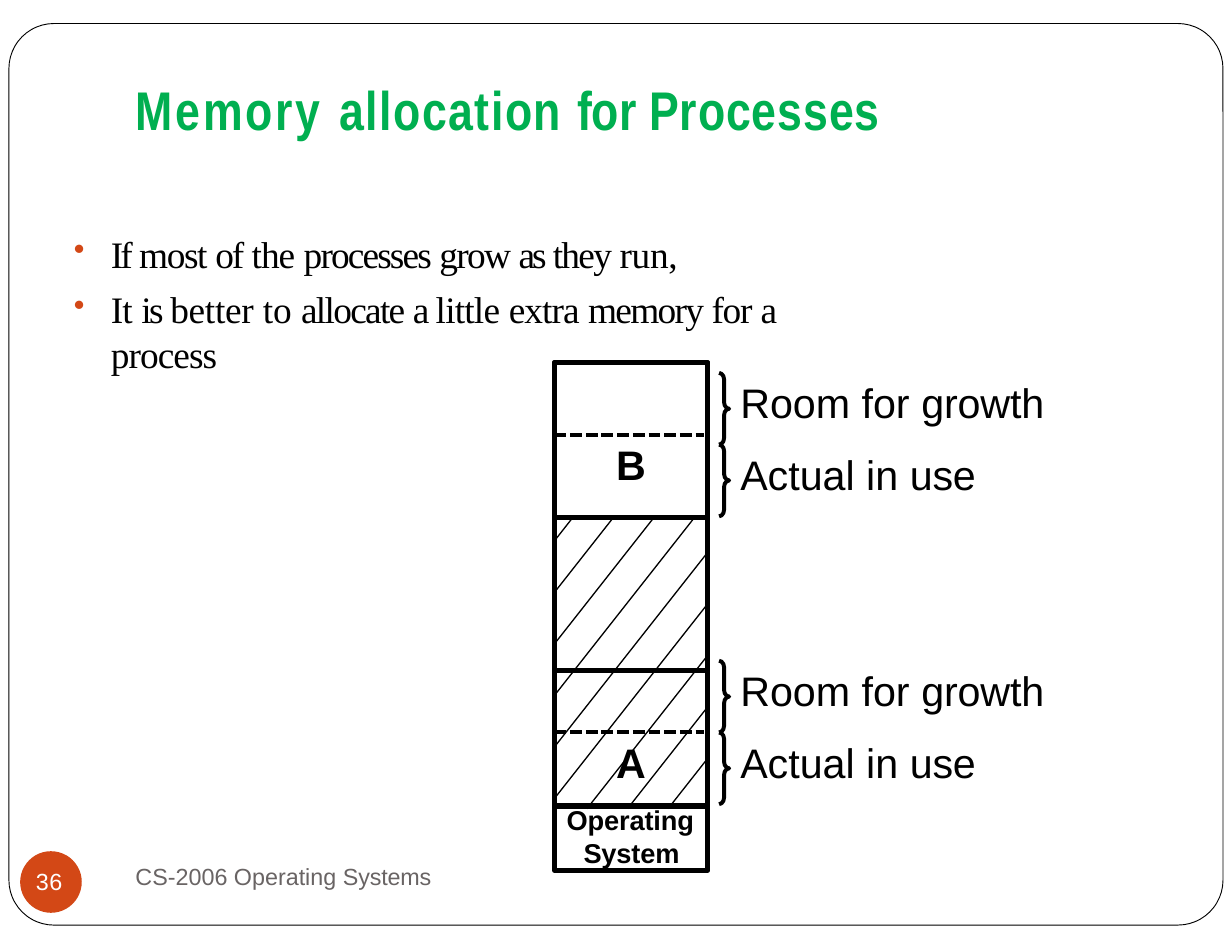
from dataclasses import dataclass

from lxml.etree import SubElement
from pptx import Presentation
from pptx.dml.color import RGBColor as RGB
from pptx.enum.dml import MSO_LINE_DASH_STYLE as DASH
from pptx.enum.shapes import MSO_CONNECTOR_TYPE as CONN, MSO_SHAPE as SHAPE
from pptx.enum.text import MSO_ANCHOR as ANCHOR, PP_ALIGN as ALIGN
from pptx.oxml.ns import qn
from pptx.util import Inches, Pt


@dataclass(frozen=True)
class Theme:
    ink: str = "000000"
    title: str = "00AF50"
    accent: str = "D34816"
    muted: str = "696464"
    white: str = "FFFFFF"
    sans: str = "Arial"
    narrow: str = "Arial Narrow"
    serif: str = "Times New Roman"
    title_size: float = 35
    body_size: float = 24
    label_size: float = 26.5
    os_size: float = 17.5
    footer_size: float = 15
    thick: float = 3.25
    medium: float = 2.52
    thin: float = 0.84
    frame: float = 0.6


T = Theme()

# Memory column, in inches
LEFT, RIGHT = 4.95, 6.32
B_TOP, B_BOTTOM = 3.24, 4.62
A_TOP, A_BOTTOM = 5.99, 7.19
OS_TOP, OS_BOTTOM = 7.22, 7.77
HATCH_SLOPE, HATCH_STEP, HATCH_START = 1.27, 0.46, 3.09
BRACE_HEIGHT = 0.64

# Runs are (text, letter spacing in points)
TITLE = [("Memory ", 1.8), ("allocation ", 1), ("for ", 0), ("Processes", 0.6)]
BULLETS = [
    [("If ", -1.9), ("most ", -0.9), ("of ", -1.4), ("the ", -0.6),
     ("processes ", -1.2), ("grow ", -1.1), ("as ", -2), ("they ", -1.1),
     ("run,", -0.2)],
    [("It ", -0.5), ("is ", -1.7), ("better ", -0.2), ("to ", 0),
     ("allocate ", -1.1), ("a ", -1.9), ("little ", -0.5), ("extra ", -0.6),
     ("memory ", -1.1), ("for ", -0.8), ("a", -1.9), (" process", -0.6)],
]
USAGE = [("Room for ", 0), ("growth ", -0.1), ("Actual in ", 0), ("use", -0.2)]


def add_bullet(pPr):
    SubElement(SubElement(pPr, qn("a:buClr")), qn("a:srgbClr")).set("val", T.accent)
    SubElement(pPr, qn("a:buSzPct")).set("val", "85000")
    SubElement(pPr, qn("a:buChar")).set("char", "•")


def add_text(s, box, *paragraphs, size, font=T.sans, color=T.ink, bold=False,
             top=0, before=0, margin=0, indent=0, spacing=None, align=ALIGN.LEFT,
             bullet=False):
    """Add a text box; each paragraph is a list of (text, letter spacing)."""
    tf = s.shapes.add_textbox(*map(Inches, box)).text_frame
    tf.word_wrap = True
    tf.vertical_anchor = ANCHOR.TOP
    tf.margin_left = tf.margin_right = tf.margin_bottom = 0
    tf.margin_top = Inches(top)
    for i, runs in enumerate(paragraphs):
        p = tf.paragraphs[0] if i == 0 else tf.add_paragraph()
        p.alignment = align
        p.space_before = Pt(before)
        if spacing:
            p.line_spacing = spacing
        pPr = p._p.get_or_add_pPr()
        pPr.set("marL", str(Inches(margin)))
        pPr.set("indent", str(Inches(indent)))
        if bullet:
            add_bullet(pPr)
        for text, tracking in runs:
            r = p.add_run()
            r.text = text
            r.font.name, r.font.size, r.font.bold = font, Pt(size), bold
            r.font.color.rgb = RGB.from_string(color)
            r._r.get_or_add_rPr().set("spc", str(round(tracking * 100)))


def add_shape(s, kind, box, fill=None, line=None, adjust=()):
    """Add a preset shape; line is a width in points."""
    sp = s.shapes.add_shape(kind, *map(Inches, box))
    sp.shadow.inherit = False
    for i, value in enumerate(adjust):
        sp.adjustments[i] = value
    if fill:
        sp.fill.solid()
        sp.fill.fore_color.rgb = RGB.from_string(fill)
    else:
        sp.fill.background()
    if line:
        sp.line.width = Pt(line)
        sp.line.color.rgb = RGB.from_string(T.ink)
    else:
        sp.line.fill.background()


def add_line(s, x1, y1, x2, y2, width, dash=None):
    c = s.shapes.add_connector(CONN.STRAIGHT, *map(Inches, (x1, y1, x2, y2)))
    c.line.width = Pt(width)
    c.line.color.rgb = RGB.from_string(T.ink)
    if dash:
        c.line.dash_style = dash
    SubElement(c._element.spPr, qn("a:effectLst"))


def add_block(s, top, bottom):
    add_shape(s, SHAPE.RECTANGLE, (LEFT, top, RIGHT - LEFT, bottom - top),
              line=T.thick)


def add_hatching(s):
    """Draw parallel diagonals, clipped between block B and the system."""
    count = int((OS_TOP - HATCH_START) / HATCH_STEP) + 1
    for i in range(count):
        right_y = HATCH_START + i * HATCH_STEP
        y1 = max(right_y, B_BOTTOM)
        y2 = min(right_y + (RIGHT - LEFT) * HATCH_SLOPE, OS_TOP)
        x1, x2 = (RIGHT - (y - right_y) / HATCH_SLOPE for y in (y1, y2))
        add_line(s, x1, y1, x2, y2, T.thin)


def add_usage(s, top):
    """Add the pair of braces and their labels beside one process."""
    for i in range(2):
        add_shape(s, SHAPE.RIGHT_BRACE,
                  (6.42, top + i * BRACE_HEIGHT, 0.09, BRACE_HEIGHT),
                  line=T.medium, adjust=(0.65, 0.5))
    add_text(s, (6.6, top - 0.17, 2.74, 1.31), USAGE, size=T.label_size,
             top=0.01, before=1, margin=0.01, spacing=1.45)


def add_memory(s):
    add_block(s, B_TOP, OS_BOTTOM)
    add_line(s, LEFT, OS_TOP, RIGHT, OS_TOP, T.thin)
    add_hatching(s)
    add_block(s, A_TOP, A_BOTTOM)
    add_block(s, B_TOP, B_BOTTOM)
    for name, top, divider in (("B", 3.91, 3.88), ("A", 6.57, 6.54)):
        add_text(s, (4.97, top, 1.33, 0.47), [(name, -0.5)], size=T.label_size,
                 bold=True, top=0.01, before=1, align=ALIGN.CENTER)
        add_line(s, LEFT, divider, 6.29, divider, T.medium, DASH.SQUARE_DOT)
    add_text(s, (4.97, 7.16, 1.33, 0.62), [("Operating System", -0.1)],
             size=T.os_size, bold=True, top=0.01, before=1, margin=0.24,
             indent=-0.15, spacing=1.01)
    for top in (5.9, 3.33):
        add_usage(s, top)


def add_footer(s):
    add_shape(s, SHAPE.OVAL, (0.18, 7.6, 0.55, 0.55), fill=T.accent)
    add_text(s, (1.2, 7.7, 2.74, 0.27),
             [("CS-2006 Operating ", 0), ("Systems", -0.1)],
             size=T.footer_size, color=T.muted, margin=0.01, spacing=Pt(17.9))
    add_text(s, (0.28, 7.74, 0.35, 0.27), [("36", 0.3)], size=T.footer_size,
             color=T.white, margin=0.04)


def main():
    prs = Presentation()
    prs.slide_width, prs.slide_height = Inches(11), Inches(8.5)
    s = prs.slides.add_slide(prs.slide_layouts[6])
    add_shape(s, SHAPE.ROUNDED_RECTANGLE, (0.08, 0.21, 10.84, 8.05),
              line=T.frame, adjust=(0.05,))
    add_text(s, (0.37, 0.16, 9.12, 1.29), TITLE, size=T.title_size,
             font=T.narrow, color=T.title, bold=True, top=0.52, before=1.1,
             margin=0.84)
    add_text(s, (0.65, 1.95, 7.2, 1.02), *BULLETS, size=T.body_size,
             font=T.serif, top=0.11, before=7, margin=0.34, indent=-0.33,
             bullet=True)
    add_memory(s)
    add_footer(s)
    prs.save("out.pptx")


if __name__ == "__main__":
    main()
